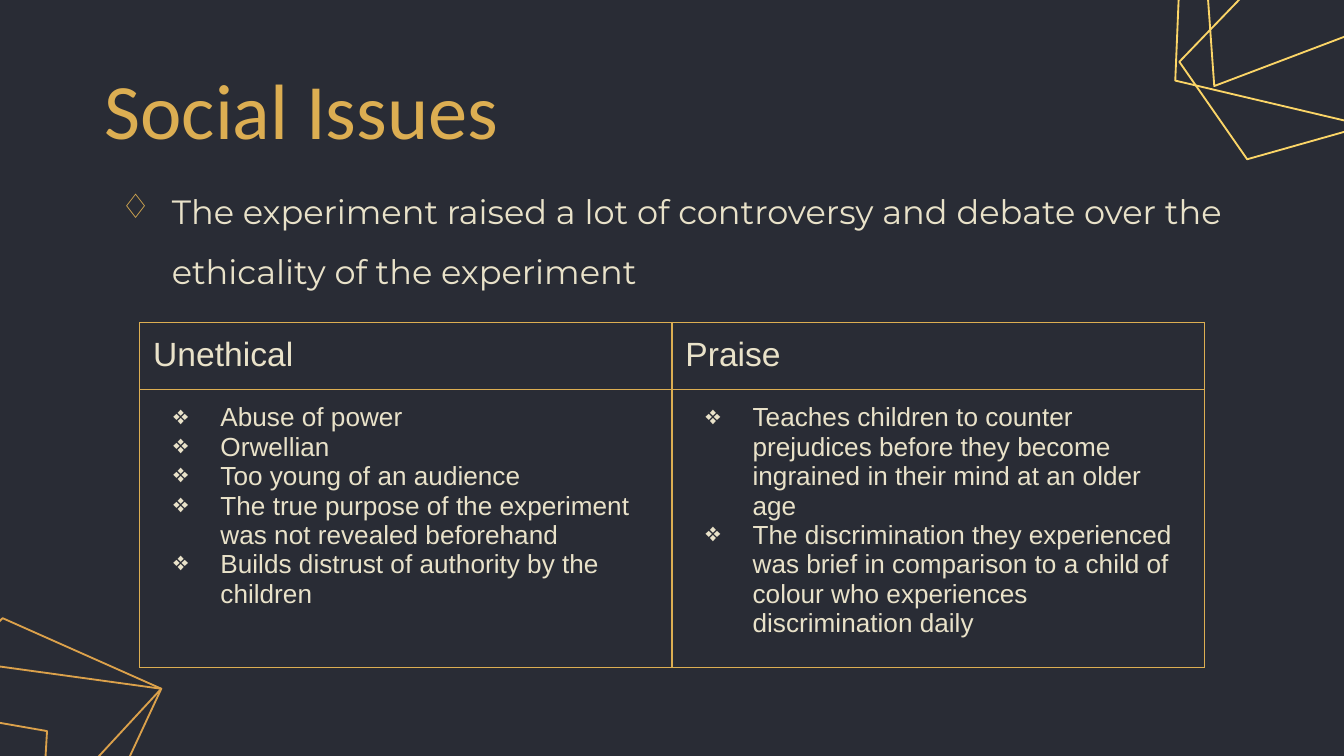
from dataclasses import dataclass
from typing import Any

from lxml import etree
from pptx import Presentation
from pptx import util as u
from pptx.dml.color import RGBColor
from pptx.enum import text
from pptx.oxml.ns import qn

UNIT = 0.1
WIDTH, HEIGHT = 100, 56.25
NAVY, GOLD, CREAM = "292C35", "DCAE52", "E9E2C9"
LIGHT_GOLD, DARK_GOLD = "FBD567", "DBA14B"
TABLE_LEFT, TABLE_TOP, COLUMN = 10.4, 24, 39.6
ROWS = (4.8, 19.5)


@dataclass(frozen=True)
class Style:
    """Font and spacing of a paragraph, with an optional bullet."""
    size: float
    font: str
    color: str
    bullet: str = ""
    bullet_color: str = CREAM
    indent: float = 0
    hanging: float = 0
    spacing: float = 1.0


@dataclass(frozen=True)
class Wireframe:
    """Closed outline through grid points."""
    color: str
    points: tuple[tuple[float, float], ...]


@dataclass(frozen=True)
class TextBlock:
    """Text box on the grid."""
    box: tuple[float, float, float, float]
    wording: str
    style: Style
    anchor: Any


TITLE = Style(42, "Calibri", GOLD)
BODY = Style(18, "Montserrat", CREAM, "♢", GOLD, 5, 3.8, 1.5)
HEADING = Style(18, "Arial", CREAM)
ITEM = Style(14, "Arial", CREAM, "❖", CREAM, 5, 3.5)

WIREFRAMES = (
    Wireframe(LIGHT_GOLD, ((88.7, -16.6), (90.35, 6.4), (112, -1.8), (117.1, -12.7))),
    Wireframe(DARK_GOLD, ((-19.9, 68.3), (-19.1, 57.8), (-4.5, 53), (3.5, 54.4),
                          (3.2, 59.5), (-5.5, 72.1))),
    Wireframe(DARK_GOLD, ((-15.2, 61.3), (0.2, 46), (12, 51.25), (-0.8, 65.1), (-11, 67.7))),
    Wireframe(DARK_GOLD, ((-12.3, 47.9), (12, 51.25), (7.6, 60.7), (-11, 67.7))),
    Wireframe(LIGHT_GOLD, ((87.45, 6), (87.95, -6), (104.8, -12), (114, -10.6),
                           (113.7, -4.8), (104.2, 9.95))),
    Wireframe(LIGHT_GOLD, ((87.75, 4.6), (105.1, -13.4), (118.9, -7.7), (104.5, 8.55),
                           (92.8, 11.85))),
)

TEXT_BLOCKS = (
    TextBlock((6.8, 5.7, 48.9, 4.7), "Social Issues", TITLE, text.MSO_ANCHOR.MIDDLE),
    TextBlock((6.8, 11.7, 88.3, 40.2),
              "The experiment raised a lot of controversy and debate over the "
              "ethicality of the experiment", BODY, text.MSO_ANCHOR.TOP),
)

ARGUMENTS = {
    "Unethical": (
        "Abuse of power",
        "Orwellian",
        "Too young of an audience",
        "The true purpose of the experiment was not revealed beforehand",
        "Builds distrust of authority by the children",
    ),
    "Praise": (
        "Teaches children to counter prejudices before they become ingrained in "
        "their mind at an older age",
        "The discrimination they experienced was brief in comparison to a child of "
        "colour who experiences discrimination daily",
    ),
}


def grid(units: float) -> u.Emu:
    """Convert grid units to a length."""
    return u.Inches(units * UNIT)


def rgb(value: str) -> RGBColor:
    """Convert a hex string to a colour."""
    return RGBColor.from_string(value)


def assign(target: Any, values: dict[str, Any]) -> None:
    """Set each named attribute on the target."""
    for name, value in values.items():
        setattr(target, name, value)


def add_color(parent: Any, color: str) -> None:
    """Append an RGB colour element."""
    etree.SubElement(parent, qn("a:srgbClr"), val=color)


def write(frame: Any, lines: tuple[str, ...], style: Style) -> None:
    """Fill a text frame with one styled paragraph per line."""
    for index, line in enumerate(lines):
        paragraph = frame.add_paragraph() if index else frame.paragraphs[0]
        assign(paragraph, {"alignment": text.PP_ALIGN.LEFT, "line_spacing": style.spacing})
        run = paragraph.add_run()
        run.text = line
        assign(run.font, {"size": u.Pt(style.size), "name": style.font})
        run.font.color.rgb = rgb(style.color)
        if style.bullet:
            properties = paragraph._p.get_or_add_pPr()
            properties.set("marL", str(grid(style.indent)))
            properties.set("indent", str(-grid(style.hanging)))
            add_color(etree.SubElement(properties, qn("a:buClr")), style.bullet_color)
            etree.SubElement(properties, qn("a:buChar"), char=style.bullet)


def draw_wireframe(slide: Any, wireframe: Wireframe) -> None:
    """Draw one unfilled polygon."""
    start, *others = [(grid(x), grid(y)) for x, y in wireframe.points]
    builder = slide.shapes.build_freeform(*start)
    builder.add_line_segments(others, close=True)
    shape = builder.convert_to_shape()
    shape.shadow.inherit = False
    shape.fill.background()
    shape.line.color.rgb = rgb(wireframe.color)
    shape.line.width = u.Pt(1)


def draw_text(slide: Any, block: TextBlock) -> None:
    """Draw one text box."""
    frame = slide.shapes.add_textbox(*map(grid, block.box)).text_frame
    margins = {f"margin_{side}": grid(1) for side in ("left", "right", "top", "bottom")}
    assign(frame, {"word_wrap": True, "vertical_anchor": block.anchor, **margins})
    write(frame, (block.wording,), block.style)


def format_cell(cell: Any) -> None:
    """Give a cell even margins, no fill and gold borders."""
    assign(cell, {f"margin_{side}": grid(1) for side in ("left", "right", "top", "bottom")})
    cell.fill.background()
    properties = cell._tc.get_or_add_tcPr()
    for index, side in enumerate("LRTB"):
        border = etree.Element(qn(f"a:ln{side}"), w=str(u.Pt(0.75)))
        add_color(etree.SubElement(border, qn("a:solidFill")), GOLD)
        properties.insert(index, border)


def draw_table(slide: Any) -> None:
    """Draw the table of arguments, one column per heading."""
    box = (TABLE_LEFT, TABLE_TOP, COLUMN * len(ARGUMENTS), sum(ROWS))
    table = slide.shapes.add_table(len(ROWS), len(ARGUMENTS), *map(grid, box)).table
    assign(table, {"first_row": False, "horz_banding": False})
    for row, height in zip(table.rows, ROWS):
        row.height = grid(height)
    for column, (heading, items) in enumerate(ARGUMENTS.items()):
        for row, (lines, style) in enumerate((((heading,), HEADING), (items, ITEM))):
            cell = table.cell(row, column)
            format_cell(cell)
            write(cell.text_frame, lines, style)


def main() -> None:
    """Build and save the slide."""
    presentation = Presentation()
    assign(presentation, {"slide_width": grid(WIDTH), "slide_height": grid(HEIGHT)})
    slide = presentation.slides.add_slide(presentation.slide_layouts[6])
    slide.background.fill.solid()
    slide.background.fill.fore_color.rgb = rgb(NAVY)
    for wireframe in WIREFRAMES:
        draw_wireframe(slide, wireframe)
    for block in TEXT_BLOCKS:
        draw_text(slide, block)
    draw_table(slide)
    presentation.save("out.pptx")


if __name__ == "__main__":
    main()
